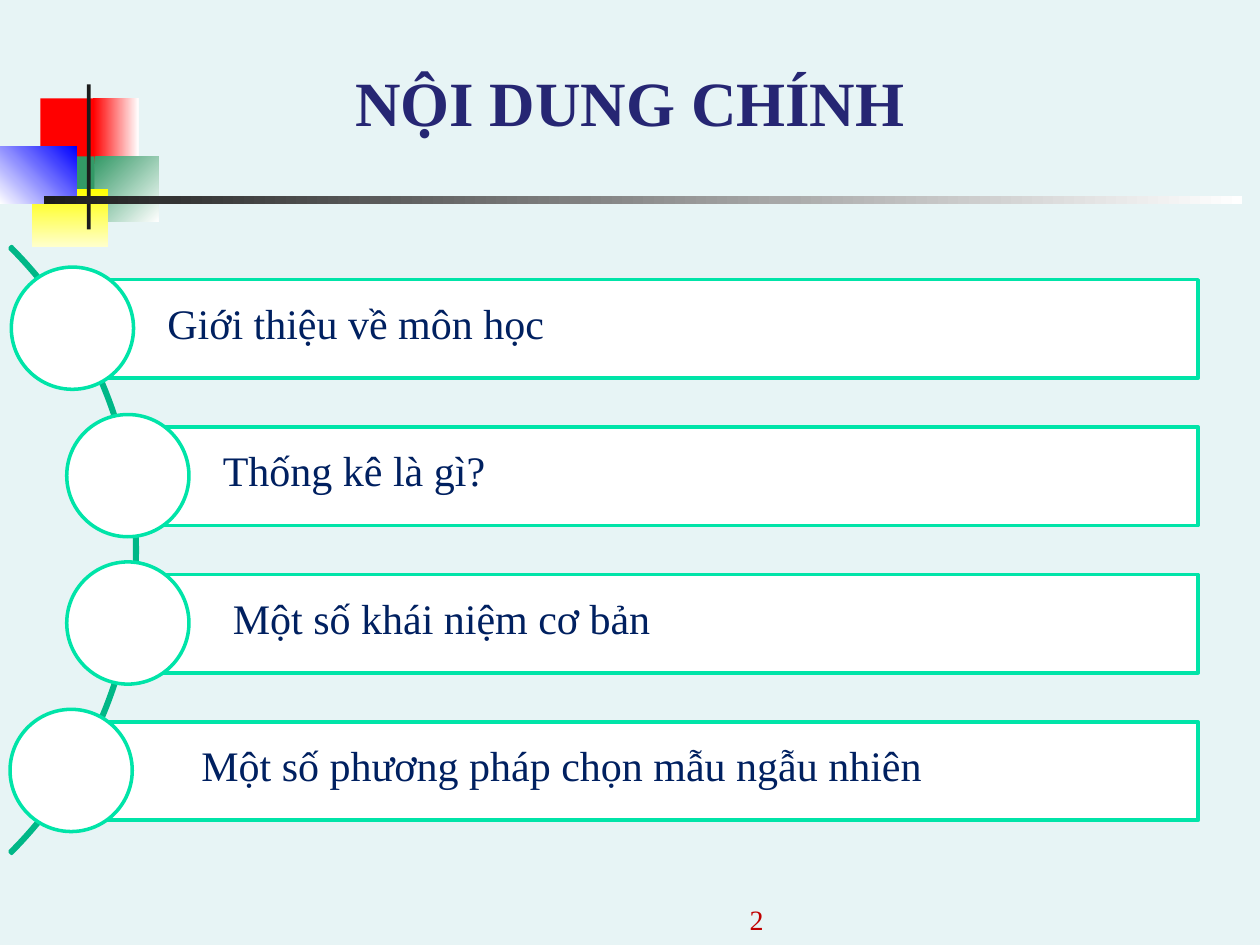
from pptx import Presentation
from pptx.dml.color import RGBColor
from pptx.enum import shapes, text
from pptx.util import Inches, Pt

BACKDROP = RGBColor(0xE7, 0xF4, 0xF5)
WHITE = RGBColor(0xFF, 0xFF, 0xFF)
RED = RGBColor(0xFF, 0x00, 0x00)
GREEN = RGBColor(0x33, 0x99, 0x66)
YELLOW = RGBColor(0xFF, 0xFF, 0x00)
CREAM = RGBColor(0xFF, 0xFF, 0xCC)
BLUE = RGBColor(0x00, 0x00, 0xFF)
BLACK = RGBColor(0x1C, 0x1C, 0x1C)
INDIGO = RGBColor(0x26, 0x26, 0x73)
NAVY = RGBColor(0x00, 0x20, 0x60)
CRIMSON = RGBColor(0xC0, 0x00, 0x00)
TEAL = RGBColor(0x00, 0xB7, 0x87)
MINT = RGBColor(0x00, 0xE4, 0xA8)

FONT = "Times New Roman"
RECT = shapes.MSO_SHAPE.RECTANGLE
OVAL = shapes.MSO_SHAPE.OVAL
ARC = shapes.MSO_SHAPE.BLOCK_ARC
TOP = text.MSO_ANCHOR.TOP
BOTTOM = text.MSO_ANCHOR.BOTTOM
LEFT = text.PP_ALIGN.LEFT
CENTER = text.PP_ALIGN.CENTER
RIGHT = text.PP_ALIGN.RIGHT

TOPICS = [
    ("Giới thiệu về môn học", 0.57, 0.09, 1.23),
    ("Thống kê là gì?", 1.02, 0.53, 1.67),
    ("Một số khái niệm cơ bản", 1.02, 0.53, 1.75),
    ("Một số phương pháp chọn mẫu ngẫu nhiên", 0.57, 0.08, 1.5),
]


def add_figure(slide, kind, box, fill=None, line=None):
    figure = slide.shapes.add_shape(kind, *map(Inches, box))
    figure.shadow.inherit = False
    if fill is None:
        figure.fill.background()
    else:
        figure.fill.solid()
        figure.fill.fore_color.rgb = fill
    if line is None:
        figure.line.fill.background()
    else:
        figure.line.color.rgb = line
        figure.line.width = Pt(2)
    return figure


def shade(figure, start, end, clockwise):
    figure.fill.gradient()
    figure.fill.gradient_angle = (360 - clockwise) % 360
    for stop, color in zip(figure.fill.gradient_stops, (start, end)):
        stop.color.rgb = color


def add_label(slide, box, words, size, color, align=LEFT, anchor=TOP, bold=False):
    frame = slide.shapes.add_textbox(*map(Inches, box)).text_frame
    frame.word_wrap = True
    frame.vertical_anchor = anchor
    paragraph = frame.paragraphs[0]
    paragraph.alignment = align
    run = paragraph.add_run()
    run.text = words
    run.font.name = FONT
    run.font.size = Pt(size)
    run.font.bold = bold
    run.font.color.rgb = color


def add_ornament(slide, left, top):
    blocks = [
        (0.32, 0.11, 0.48, 0.52, RED, None, 0),
        (0.74, 0.11, 0.36, 0.52, RED, WHITE, 0),
        (0.75, 0.57, 0.51, 0.52, GREEN, WHITE, 45),
        (0.43, 0.57, 0.32, 0.52, GREEN, None, 0),
        (0.25, 0.83, 0.61, 0.46, YELLOW, CREAM, 90),
        (0, 0.49, 0.61, 0.46, WHITE, BLUE, 315),
        (0.69, 0, 0.03, 1.15, BLACK, None, 0),
        (0.35, 0.89, 9.51, 0.06, BLACK, WHITE, 0),
    ]
    for x, y, width, height, start, end, clockwise in blocks:
        block = add_figure(slide, RECT, (left + x, top + y, width, height), start)
        if end is not None:
            shade(block, start, end, clockwise)


def add_topics(slide, left, top, width, height):
    pitch, bar_height, disc, radius = 1.17, 0.78, 0.97, 3.405
    right = left + width
    arc_top = top + height / 2 - radius
    arc = add_figure(slide, ARC, (left - 5.72, arc_top, 2 * radius, 2 * radius), line=TEAL)
    for index, value in enumerate((189, 27, 0.003)):
        arc.adjustments[index] = value

    for index, (topic, bar_x, disc_x, topic_x) in enumerate(TOPICS):
        y = top + index * pitch
        bar_left, topic_left = left + bar_x, left + topic_x
        add_figure(slide, RECT, (bar_left, y, right - bar_left, bar_height), WHITE, MINT)
        add_figure(slide, OVAL, (left + disc_x, y - 0.1, disc, disc), WHITE, MINT)
        add_label(slide, (topic_left, y + 0.09, right - topic_left, 0.5), topic, 24, NAVY)


def main():
    deck = Presentation()
    deck.slide_width, deck.slide_height = Inches(10), Inches(7.5)
    slide = deck.slides.add_slide(deck.slide_layouts[6])
    slide.background.fill.solid()
    slide.background.fill.fore_color.rgb = BACKDROP
    add_ornament(slide, 0, 0.67)
    add_label(slide, (0, 0.42, 10, 0.73), "NỘI DUNG CHÍNH", 36, INDIGO, CENTER, BOTTOM, True)
    add_label(slide, (3.83, 7.08, 2.33, 0.4), "2", 16, CRIMSON, RIGHT, BOTTOM)
    add_topics(slide, 0, 2.22, 9.51, 4.29)
    deck.save("out.pptx")


if __name__ == "__main__":
    main()
